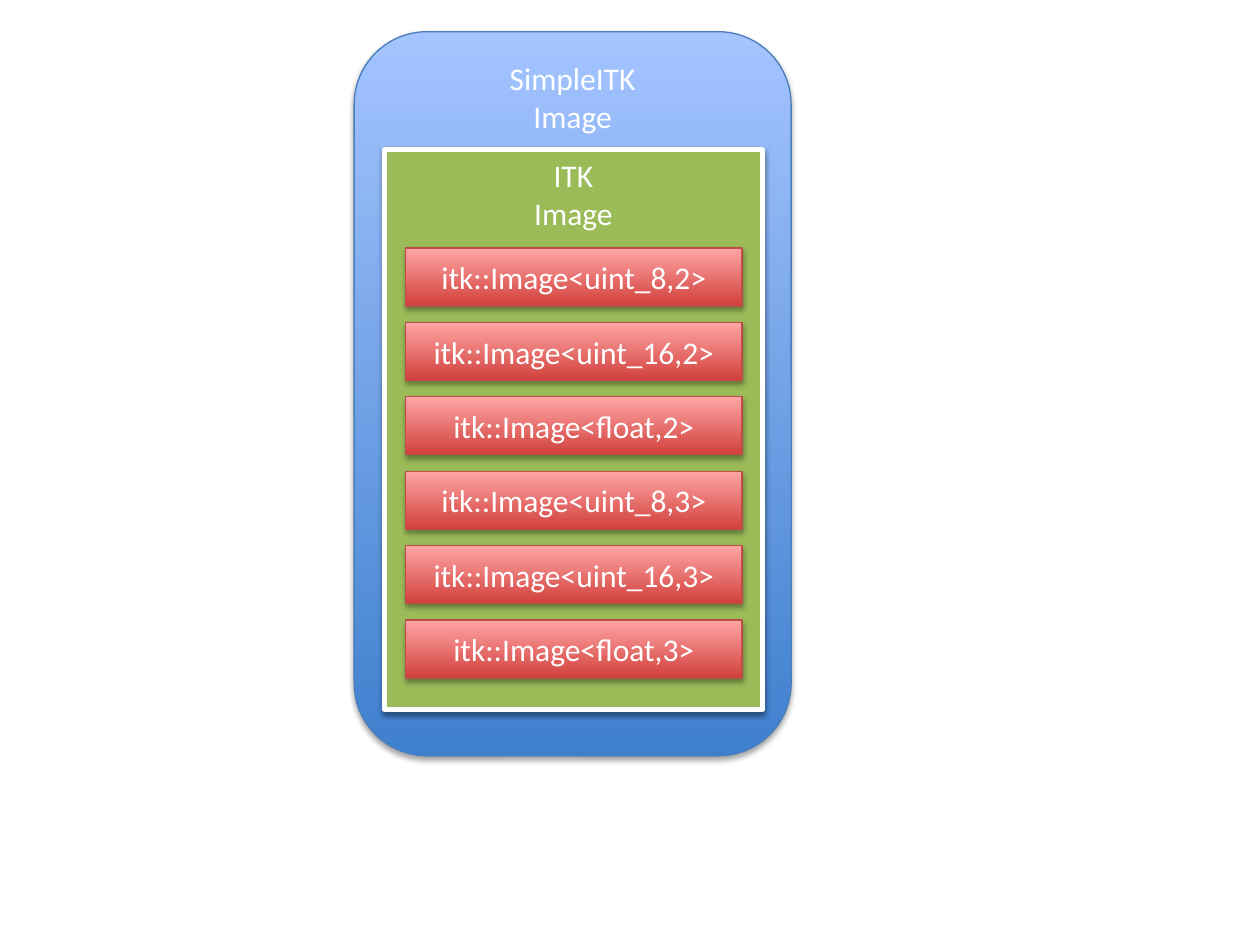
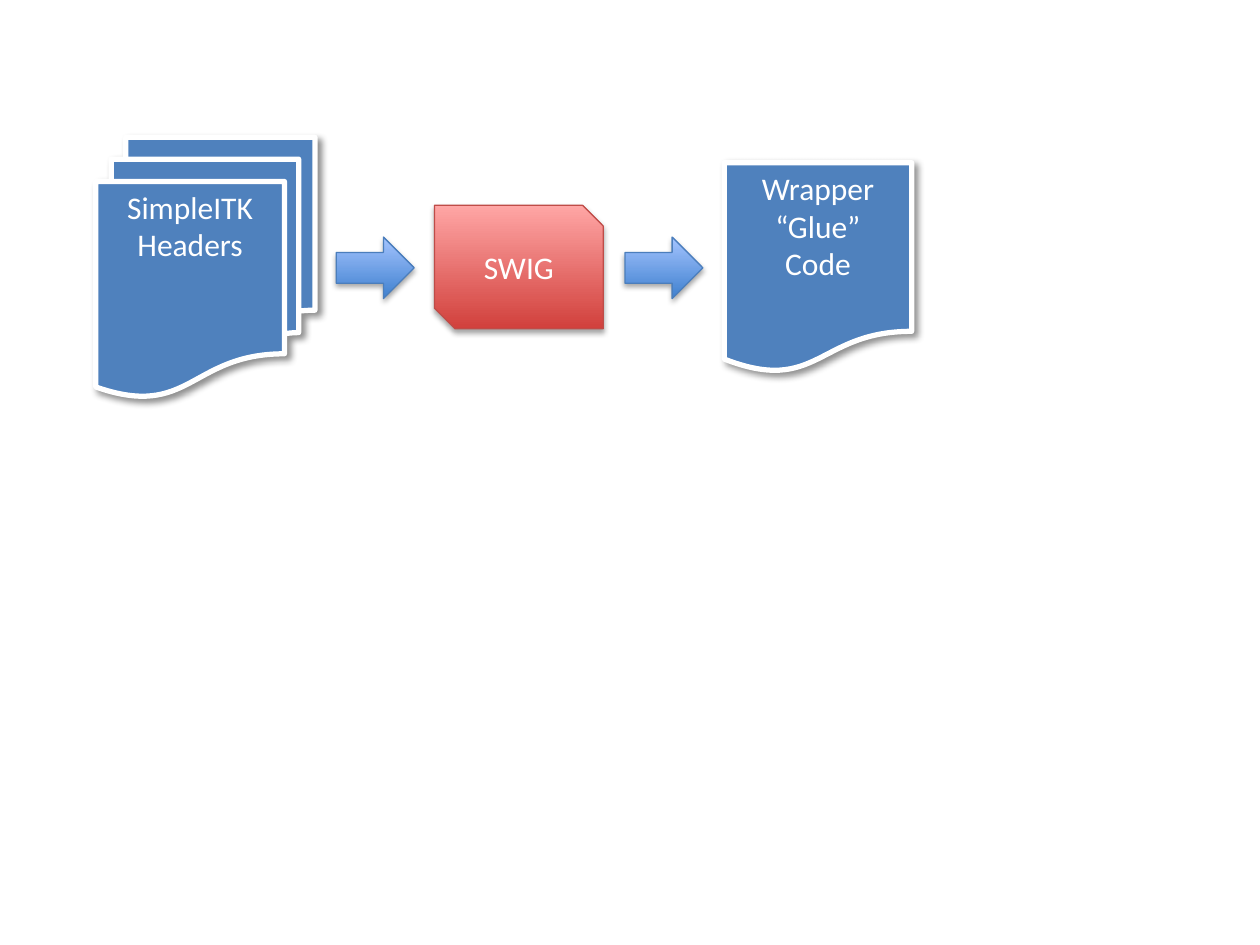
"""Build two diagram slides: the image class layers and the wrapping pipeline."""
from lxml.etree import SubElement
from pptx import Presentation
from pptx.dml.color import RGBColor
from pptx.enum.shapes import MSO_SHAPE
from pptx.enum.text import MSO_ANCHOR, PP_ALIGN
from pptx.oxml.ns import qn
from pptx.util import Cm, Pt

WHITE = RGBColor(0xFF, 0xFF, 0xFF)
BLUE = RGBColor(0x4F, 0x81, 0xBD)
GREEN = RGBColor(0x9B, 0xBB, 0x59)
BLUE_DARK = RGBColor(0x3F, 0x80, 0xCE)
BLUE_LIGHT = RGBColor(0xA4, 0xC4, 0xFF)
BLUE_EDGE = RGBColor(0x4B, 0x7E, 0xBC)
RED_DARK = RGBColor(0xD1, 0x40, 0x3C)
RED_LIGHT = RGBColor(0xFF, 0xA6, 0xA5)
RED_EDGE = RGBColor(0xBF, 0x4C, 0x48)

BLUE_GLOSS = (BLUE_DARK, BLUE_LIGHT, BLUE_EDGE)
RED_GLOSS = (RED_DARK, RED_LIGHT, RED_EDGE)
GLOSS_SHADOW = (35, 3.15, 1.81, 90)
PANEL_SHADOW = (38, 3.15, 1.57, 90)
PAPER_SHADOW = (43, 4, 3, 45)


class Deck:
    """Holds the shared style and the current slide."""

    font = "Calibri"
    size = Pt(18)

    def __init__(self):
        self.prs = Presentation()
        self.prs.slide_width, self.prs.slide_height = Cm(25.4), Cm(19.05)
        self.s = None

    def slide(self):
        """Start a blank slide."""
        self.s = self.prs.slides.add_slide(self.prs.slide_layouts[6])

    def shape(self, kind, box, lines, anchor, shadow, parent=None):
        """Add a preset shape with centred white text and a soft shadow."""
        shapes = (parent or self.s).shapes
        sp = shapes.add_shape(kind, *(Cm(v) for v in box))
        self.text(sp.text_frame, lines, anchor)
        self.shadow(sp, *shadow)
        return sp

    def text(self, tf, lines, anchor):
        """Write one centred paragraph per line."""
        tf.word_wrap = True
        tf.vertical_anchor = anchor
        for i, line in enumerate(lines):
            p = tf.add_paragraph() if i else tf.paragraphs[0]
            p.alignment = PP_ALIGN.CENTER
            r = p.add_run()
            r.text = line
            r.font.name, r.font.size = self.font, self.size
            r.font.color.rgb = WHITE

    def shadow(self, sp, alpha, blur, dist, angle):
        """Give a shape a black outer shadow."""
        sp.shadow.inherit = False
        effects = sp._element.spPr.find(qn("a:effectLst"))
        outer = SubElement(effects, qn("a:outerShdw"), blurRad=str(Pt(blur)),
                           dist=str(Pt(dist)), dir=str(angle * 60000),
                           rotWithShape="0")
        color = SubElement(outer, qn("a:srgbClr"), val="000000")
        SubElement(color, qn("a:alpha"), val=str(alpha * 1000))

    def glossy(self, kind, box, gloss, lines=(), anchor=MSO_ANCHOR.MIDDLE, parent=None):
        """Add a shape that fades from dark at the bottom to light at the top."""
        sp = self.shape(kind, box, lines, anchor, GLOSS_SHADOW, parent)
        dark, light, edge = gloss
        sp.fill.gradient()
        sp.fill.gradient_angle = 90
        for stop, color in zip(sp.fill.gradient_stops, (dark, light)):
            stop.color.rgb = color
        sp.line.color.rgb = edge
        sp.line.width = Pt(0.75)

    def framed(self, kind, box, color, lines, shadow):
        """Add a solid shape with a thick white frame and text at the top."""
        sp = self.shape(kind, box, lines, MSO_ANCHOR.TOP, shadow)
        sp.fill.solid()
        sp.fill.fore_color.rgb = color
        sp.line.color.rgb = WHITE
        sp.line.width = Pt(3)

    def group(self):
        """Add an empty group."""
        return self.s.shapes.add_group_shape()


def image_layers(deck):
    """Draw the nested image classes."""
    deck.slide()
    deck.glossy(MSO_SHAPE.ROUNDED_RECTANGLE, (7.14, 0.64, 8.81, 14.6), BLUE_GLOSS,
                ["SimpleITK", "Image"], MSO_ANCHOR.TOP)
    deck.framed(MSO_SHAPE.RECTANGLE, (7.75, 3.02, 7.62, 11.28), GREEN,
                ["ITK", "Image"], PANEL_SHADOW)
    types = [f"itk::Image<{pixel},{dim}>"
             for dim in (2, 3) for pixel in ("uint_8", "uint_16", "float")]
    group = deck.group()
    for i, name in enumerate(types):
        deck.glossy(MSO_SHAPE.RECTANGLE, (8.18, 5 + 1.5 * i, 6.78, 1.17), RED_GLOSS,
                    [name], parent=group)


def wrapping_pipeline(deck):
    """Draw the path from headers to wrapper code."""
    deck.slide()
    deck.framed(MSO_SHAPE.FLOWCHART_MULTIDOCUMENT, (1.93, 2.77, 4.42, 5.23), BLUE,
                ["SimpleITK", "Headers"], PAPER_SHADOW)
    deck.glossy(MSO_SHAPE.SNIP_2_DIAG_RECTANGLE, (8.76, 4.14, 3.4, 2.49), RED_GLOSS,
                ["SWIG"])
    deck.framed(MSO_SHAPE.FLOWCHART_DOCUMENT, (14.6, 3.28, 3.78, 4.24), BLUE,
                ["Wrapper", "“Glue”", "Code"], PAPER_SHADOW)
    for left in (6.78, 12.6):
        deck.glossy(MSO_SHAPE.RIGHT_ARROW, (left, 4.78, 1.57, 1.24), BLUE_GLOSS)


deck = Deck()
image_layers(deck)
wrapping_pipeline(deck)
deck.prs.save("out.pptx")
